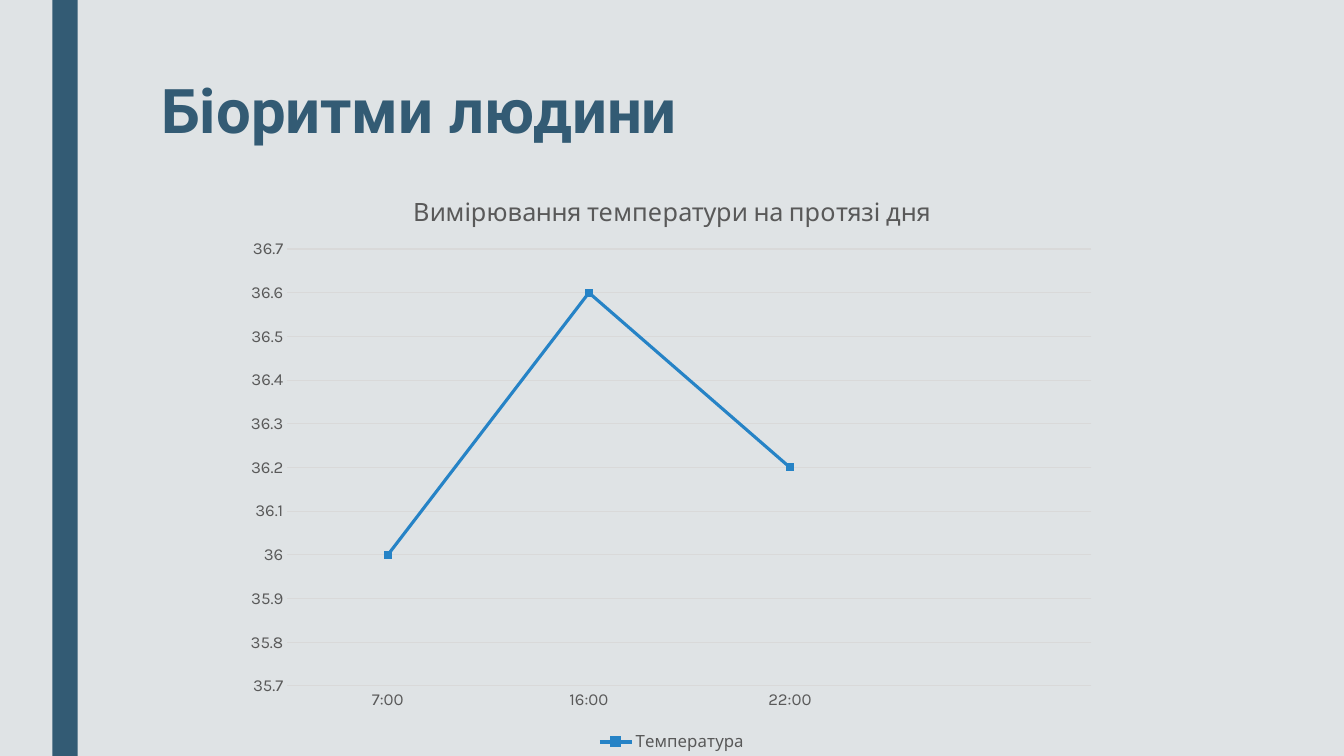
"""Build the slide on human biorhythms with its temperature line chart."""
from dataclasses import dataclass

from lxml import etree
from pptx import Presentation
from pptx import util as u
from pptx.chart import data as chart_data
from pptx.dml.color import RGBColor
from pptx.enum import chart as chart_enum, shapes, text
from pptx.oxml import ns


@dataclass(frozen=True)
class Theme:
    """Colours, fonts and type sizes of the slide."""

    background: str = "DFE3E5"
    accent: str = "335B74"
    series: str = "2683C6"
    label: str = "595959"
    grid: str = "D9D9D9"
    heading_font: str = "Roboto"
    chart_font: str = "Karla"
    heading_size: int = 44
    chart_title_size: int = 18
    label_size: int = 12


@dataclass(frozen=True)
class Box:
    """A rectangle on the slide, in inches."""

    left: float
    top: float
    width: float
    height: float

    def lengths(self) -> tuple[u.Length, ...]:
        """Return left, top, width and height as lengths."""
        return tuple(map(u.Inches, (self.left, self.top, self.width, self.height)))


THEME = Theme()
PAGE = Box(0, 0, 13.33, 7.5)
BAR = Box(0.52, 0, 0.25, PAGE.height)
HEADING = Box(1.5, 0.75, 10.5, 1.62)
CHART = Box(2.33, 1.72, 8.67, 5.78)
PLOT_SHARE = Box(0.06, 0.13, 0.92, 0.75)
TEMPERATURES = {"7:00": 36, "16:00": 36.6, "22:00": 36.2, "": None}


def colour(value: str) -> RGBColor:
    """Return a colour from its hexadecimal code."""
    return RGBColor.from_string(value)


def format_font(font, *, name: str, size: int, tint: str, bold: bool = False) -> None:
    """Apply typeface, size, colour and weight to a font."""
    font.name, font.size, font.bold = name, u.Pt(size), bold
    font.color.rgb = colour(tint)


def write_text(frame, content: str, *, spacing: float | None = None, **style) -> None:
    """Write one formatted paragraph into a text frame."""
    para = frame.paragraphs[0]
    para.alignment = text.PP_ALIGN.LEFT if spacing else text.PP_ALIGN.CENTER
    para.line_spacing = spacing
    span = para.add_run()
    span.text = content
    format_font(span.font, **style)


def format_line(line, tint: str, width: float) -> None:
    """Give a line its colour and width."""
    line.color.rgb = colour(tint)
    line.width = u.Pt(width)


def format_axis(axis) -> None:
    """Style the labels of an axis and hide its tick marks."""
    axis.major_tick_mark = axis.minor_tick_mark = chart_enum.XL_TICK_MARK.NONE
    format_font(axis.tick_labels.font, name=THEME.chart_font,
                size=THEME.label_size, tint=THEME.label)


def place_plot(chart, share: Box) -> None:
    """Fix the inner plot area as shares of the chart."""
    area = chart.element.find(".//" + ns.qn("c:plotArea"))
    for old in area.findall(ns.qn("c:layout")):
        area.remove(old)
    layout = etree.Element(ns.qn("c:layout"))
    manual = etree.SubElement(layout, ns.qn("c:manualLayout"))
    settings = {"layoutTarget": "inner", "xMode": "edge", "yMode": "edge",
                "x": share.left, "y": share.top, "w": share.width, "h": share.height}
    for tag, value in settings.items():
        etree.SubElement(manual, ns.qn(f"c:{tag}")).set("val", str(value))
    area.insert(0, layout)


def add_bar(page) -> None:
    """Draw the vertical accent bar."""
    bar = page.shapes.add_shape(shapes.MSO_SHAPE.RECTANGLE, *BAR.lengths())
    bar.shadow.inherit = False
    bar.fill.solid()
    bar.fill.fore_color.rgb = colour(THEME.accent)
    bar.line.fill.background()


def add_heading(page) -> None:
    """Fill and place the title placeholder."""
    title = page.shapes.title
    title.left, title.top, title.width, title.height = HEADING.lengths()
    frame = title.text_frame
    frame.word_wrap = True
    frame.auto_size = text.MSO_AUTO_SIZE.NONE
    frame.vertical_anchor = text.MSO_ANCHOR.TOP
    write_text(frame, "Біоритми людини", spacing=0.89, name=THEME.heading_font,
               size=THEME.heading_size, tint=THEME.accent, bold=True)


def add_temperature_chart(page) -> None:
    """Add the line chart of temperatures over the day."""
    data = chart_data.CategoryChartData(number_format="General")
    data.categories = list(TEMPERATURES)
    data.add_series("Температура", list(TEMPERATURES.values()))
    chart = page.shapes.add_chart(chart_enum.XL_CHART_TYPE.LINE_MARKERS,
                                  *CHART.lengths(), data).chart
    format_font(chart.font, name=THEME.chart_font, size=THEME.label_size, tint=THEME.label)
    chart.has_title = True
    chart.chart_title.include_in_layout = False
    write_text(chart.chart_title.text_frame, "Вимірювання температури на протязі дня",
               name=THEME.chart_font, size=THEME.chart_title_size, tint=THEME.label)
    chart.has_legend = True
    chart.legend.position = chart_enum.XL_LEGEND_POSITION.BOTTOM
    chart.legend.include_in_layout = False
    format_font(chart.legend.font, name=THEME.chart_font,
                size=THEME.label_size, tint=THEME.label)

    for axis in (chart.category_axis, chart.value_axis):
        format_axis(axis)
    format_line(chart.category_axis.format.line, THEME.grid, 0.75)
    values = chart.value_axis
    values.minimum_scale, values.maximum_scale, values.major_unit = 35.7, 36.7, 0.1
    values.format.line.fill.background()
    format_line(values.major_gridlines.format.line, THEME.grid, 0.75)

    plot = chart.plots[0]
    plot.vary_by_categories = False
    series = plot.series[0]
    series.smooth = False
    format_line(series.format.line, THEME.series, 2.25)
    series.marker.style = chart_enum.XL_MARKER_STYLE.SQUARE
    series.marker.size = 5
    series.marker.format.fill.solid()
    series.marker.format.fill.fore_color.rgb = colour(THEME.series)
    format_line(series.marker.format.line, THEME.series, 0.75)
    place_plot(chart, PLOT_SHARE)


def main() -> None:
    """Build and save the deck."""
    deck = Presentation()
    deck.slide_width, deck.slide_height = u.Inches(PAGE.width), u.Inches(PAGE.height)
    page = deck.slides.add_slide(deck.slide_layouts.get_by_name("Title Only"))
    page.background.fill.solid()
    page.background.fill.fore_color.rgb = colour(THEME.background)
    add_bar(page)
    add_heading(page)
    add_temperature_chart(page)
    deck.save("out.pptx")


if __name__ == "__main__":
    main()
